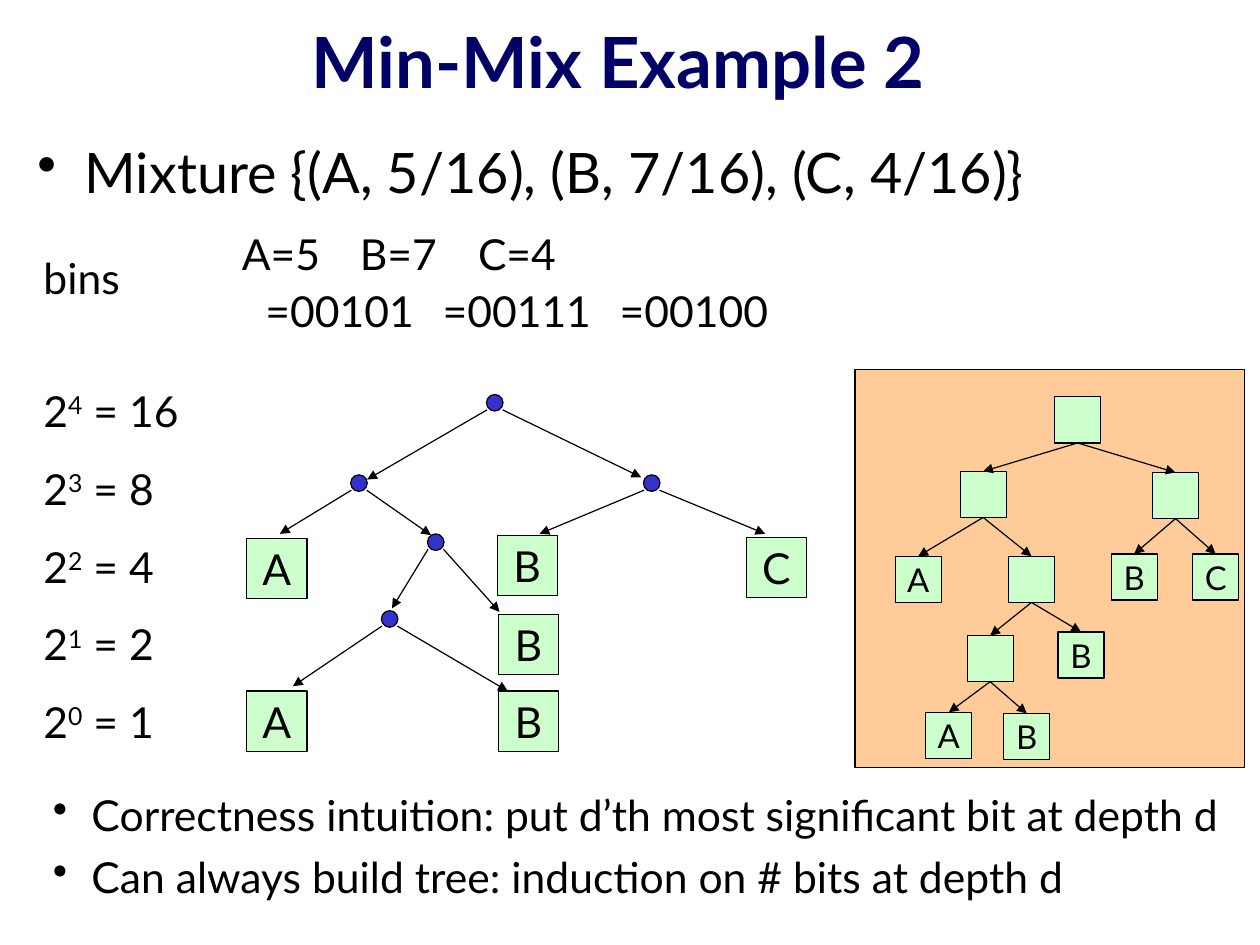
from dataclasses import dataclass
from typing import NamedTuple, Optional

from lxml.etree import SubElement
from pptx import Presentation
from pptx.dml.color import RGBColor
from pptx.enum.shapes import MSO_CONNECTOR, MSO_SHAPE
from pptx.enum.text import MSO_ANCHOR, PP_ALIGN
from pptx.oxml.ns import qn
from pptx.util import Pt


@dataclass(frozen=True)
class Theme:
    font: str = "Lato"
    ink: str = "000000"
    title: str = "000066"
    leaf: str = "CCFFCC"
    dot: str = "3333CC"
    panel: str = "FFCC99"
    head: float = 43
    lead: float = 34
    text: float = 26
    small: float = 20
    rule: float = 0.75


class Spot(NamedTuple):
    x: float
    y: float


class Leaf(NamedTuple):
    label: str
    x: float
    y: float


class Fork(NamedTuple):
    hub: Spot
    left: Spot
    right: Spot


@dataclass(frozen=True)
class Node:
    key: str
    x: float
    y: float
    above: Optional[str] = None
    label: str = ""


LOOK = Theme()
BOX = 36.7
CELL = 28.1
DOT = 10.1
SIDE, DROP = 4.7, 4.3

LEAVES = [
    Leaf("A", 150.5, 328.3), Leaf("A", 150.5, 421.2),
    Leaf("B", 303.1, 326.2), Leaf("C", 455, 327.6),
    Leaf("B", 303.8, 374.4), Leaf("B", 303.8, 421.2),
]

FORKS = [
    Fork(Spot(301.7, 245.5), Spot(223.9, 292.3), Spot(391, 290.9)),
    Fork(Spot(218.9, 294.5), Spot(170.6, 325.4), Spot(262.8, 326.2)),
    Fork(Spot(397.4, 294.5), Spot(329, 325.4), Spot(466.6, 325.4)),
    Fork(Spot(265.7, 330.5), Spot(239, 370.8), Spot(304.6, 373)),
    Fork(Spot(237.6, 377.3), Spot(178.6, 418.3), Spot(309.6, 421.2)),
]

NODES = [
    Node("root", 643, 241.9),
    Node("left", 585.4, 287.3, "root"),
    Node("right", 702.7, 288, "root"),
    Node("a1", 545.8, 339.1, "left", "A"),
    Node("mid", 614.9, 339.1, "left"),
    Node("b1", 677.5, 337.7, "right", "B"),
    Node("c1", 727.2, 337.7, "right", "C"),
    Node("low", 589.7, 387.4, "mid"),
    Node("b2", 645.1, 385.2, "mid", "B"),
    Node("a2", 564.5, 434.2, "low", "A"),
    Node("b3", 612, 434.9, "low", "B"),
]


def add_run(para, text: str, size: float, color: str = LOOK.ink,
            bold: bool = False, raised: bool = False) -> None:
    run = para.add_run()
    run.text = text
    run.font.name = LOOK.font
    run.font.size = Pt(size)
    run.font.bold = bold
    run.font.color.rgb = RGBColor.from_string(color)
    if raised:
        run.font._element.set("baseline", "30000")


def set_shape(slide, kind, x: float, y: float, wide: float, high: float,
              fill: str, label: str = "", size: float = LOOK.text):
    shape = slide.shapes.add_shape(kind, Pt(x), Pt(y), Pt(wide), Pt(high))
    shape.shadow.inherit = False
    shape.fill.solid()
    shape.fill.fore_color.rgb = RGBColor.from_string(fill)
    shape.line.color.rgb = RGBColor.from_string(LOOK.ink)
    shape.line.width = Pt(LOOK.rule)
    if label:
        frame = shape.text_frame
        frame.word_wrap = False
        frame.vertical_anchor = MSO_ANCHOR.MIDDLE
        frame.paragraphs[0].alignment = PP_ALIGN.CENTER
        add_run(frame.paragraphs[0], label, size)
    return shape


def add_arrow(slide, start: Spot, end: Spot):
    line = slide.shapes.add_connector(
        MSO_CONNECTOR.STRAIGHT, Pt(start.x), Pt(start.y), Pt(end.x), Pt(end.y))
    line.line.color.rgb = RGBColor.from_string(LOOK.ink)
    line.line.width = Pt(LOOK.rule)
    SubElement(line.line._get_or_add_ln(), qn("a:tailEnd"), type="triangle")
    SubElement(line._element.spPr, qn("a:effectLst"))
    return line


def add_frame(slide, x: float, y: float, wide: float, high: float):
    frame = slide.shapes.add_textbox(Pt(x), Pt(y), Pt(wide), Pt(high)).text_frame
    frame.word_wrap = True
    return frame


def add_para(frame, gap: float = 0):
    first = frame.paragraphs[0]
    if not first.runs:
        return first
    para = frame.add_paragraph()
    para.space_before = Pt(gap)
    return para


def set_indent(para, left: float, hang: float = 0) -> None:
    props = para._p.get_or_add_pPr()
    props.set("marL", str(Pt(left)))
    props.set("indent", str(Pt(-hang)))


def set_bullet(para, hang: float) -> None:
    set_indent(para, hang, hang)
    SubElement(para._p.get_or_add_pPr(), qn("a:buChar"), char="•")


def set_tabs(para, stops: list[float]) -> None:
    tabs = SubElement(para._p.get_or_add_pPr(), qn("a:tabLst"))
    for stop in stops:
        SubElement(tabs, qn("a:tab"), pos=str(Pt(stop)), algn="l")


def add_heads(slide) -> None:
    title = add_frame(slide, 0, 0, 753.8, 74)
    title.vertical_anchor = MSO_ANCHOR.MIDDLE
    title.paragraphs[0].alignment = PP_ALIGN.CENTER
    add_run(title.paragraphs[0], "Min-Mix Example 2", LOOK.head, LOOK.title, True)

    lead = add_para(add_frame(slide, 15.8, 80.3, 740, 50))
    set_bullet(lead, 28.8)
    add_run(lead, "Mixture {(A, 5/16), (B, 7/16), (C, 4/16)}", LOOK.lead)


def add_counts(slide) -> None:
    frame = add_frame(slide, 140.4, 135.3, 440, 74)
    rows = [("A=5\tB=7\tC=4", 0, [144, 288]),
            ("=00101\t=00111\t=00100", 14.4, [164, 308])]
    for text, left, stops in rows:
        para = add_para(frame, 3.6)
        set_indent(para, left)
        set_tabs(para, stops)
        add_run(para, text, LOOK.text)


def add_bins(slide) -> None:
    frame = add_frame(slide, 19.4, 150, 115, 310)
    add_run(add_para(frame), "bins", LOOK.text)
    for power in range(4, -1, -1):
        para = add_para(frame, 49.9 if power == 4 else 16.2)
        add_run(para, "2", LOOK.text)
        add_run(para, str(power), LOOK.text, raised=True)
        add_run(para, f" = {2 ** power}", LOOK.text)


def add_forks(slide) -> None:
    for leaf in LEAVES:
        set_shape(slide, MSO_SHAPE.RECTANGLE, leaf.x, leaf.y, BOX, BOX,
                  LOOK.leaf, leaf.label)
    for hub, left, right in FORKS:
        set_shape(slide, MSO_SHAPE.OVAL, hub.x - DOT / 2, hub.y - DOT / 2,
                  DOT, DOT, LOOK.dot)
        add_arrow(slide, Spot(hub.x - SIDE, hub.y + DROP), left)
        add_arrow(slide, Spot(hub.x + SIDE, hub.y + DROP), right)


def add_tree(slide) -> None:
    set_shape(slide, MSO_SHAPE.RECTANGLE, 521.3, 225.4, 237.6, 242.6, LOOK.panel)
    cells = {node.key: set_shape(slide, MSO_SHAPE.RECTANGLE, node.x, node.y,
                                 CELL, CELL, LOOK.leaf, node.label, LOOK.small)
             for node in NODES}
    for node in NODES:
        if node.above:
            line = add_arrow(slide, Spot(0, 0), Spot(0, 0))
            line.begin_connect(cells[node.above], 2)
            line.end_connect(cells[node.key], 0)


def add_notes(slide) -> None:
    frame = add_frame(slide, 25.2, 477.4, 733, 80)
    for text in ("Correctness intuition: put d’th most significant bit at depth d",
                 "Can always build tree: induction on # bits at depth d"):
        para = add_para(frame, 6.5)
        set_bullet(para, 23.5)
        add_run(para, text, LOOK.text)


def main() -> None:
    deck = Presentation()
    deck.slide_width, deck.slide_height = Pt(768.24), Pt(576)
    slide = deck.slides.add_slide(deck.slide_layouts[6])
    for draw in (add_heads, add_counts, add_bins, add_forks, add_tree, add_notes):
        draw(slide)
    deck.save("out.pptx")


if __name__ == "__main__":
    main()
